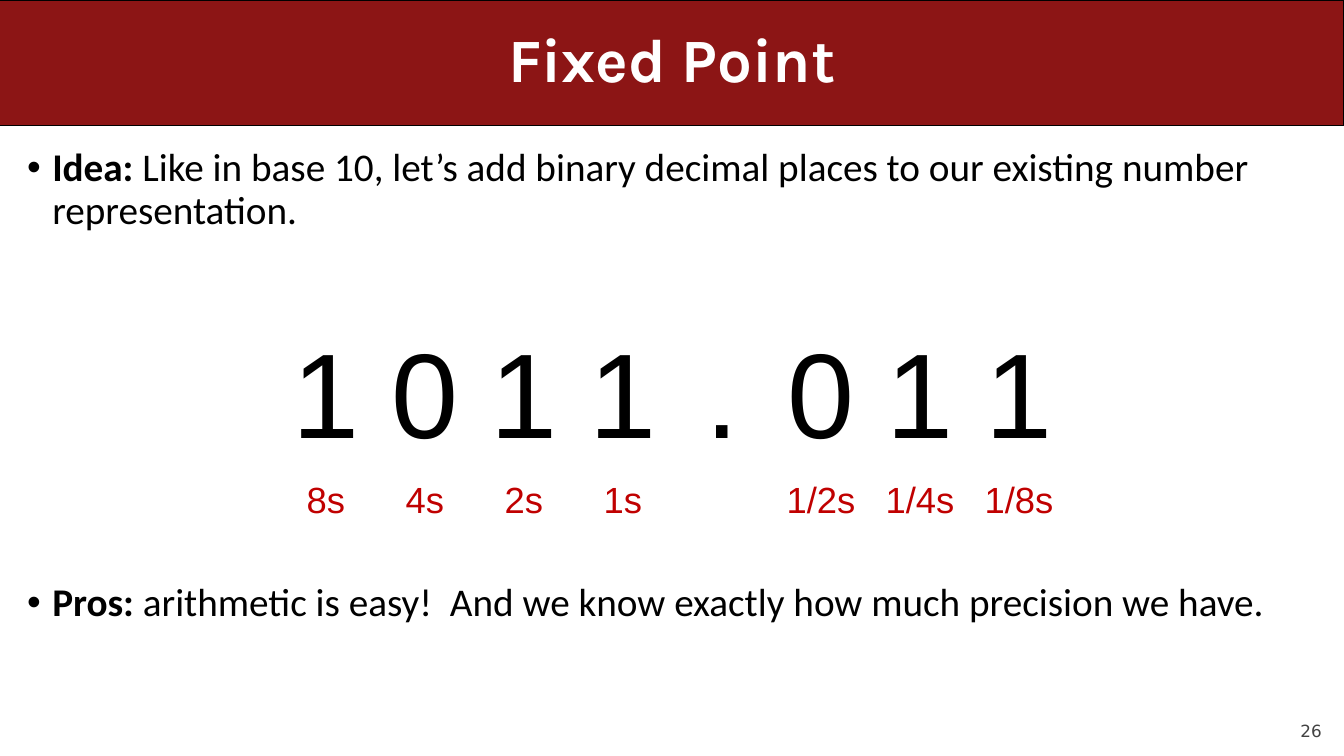
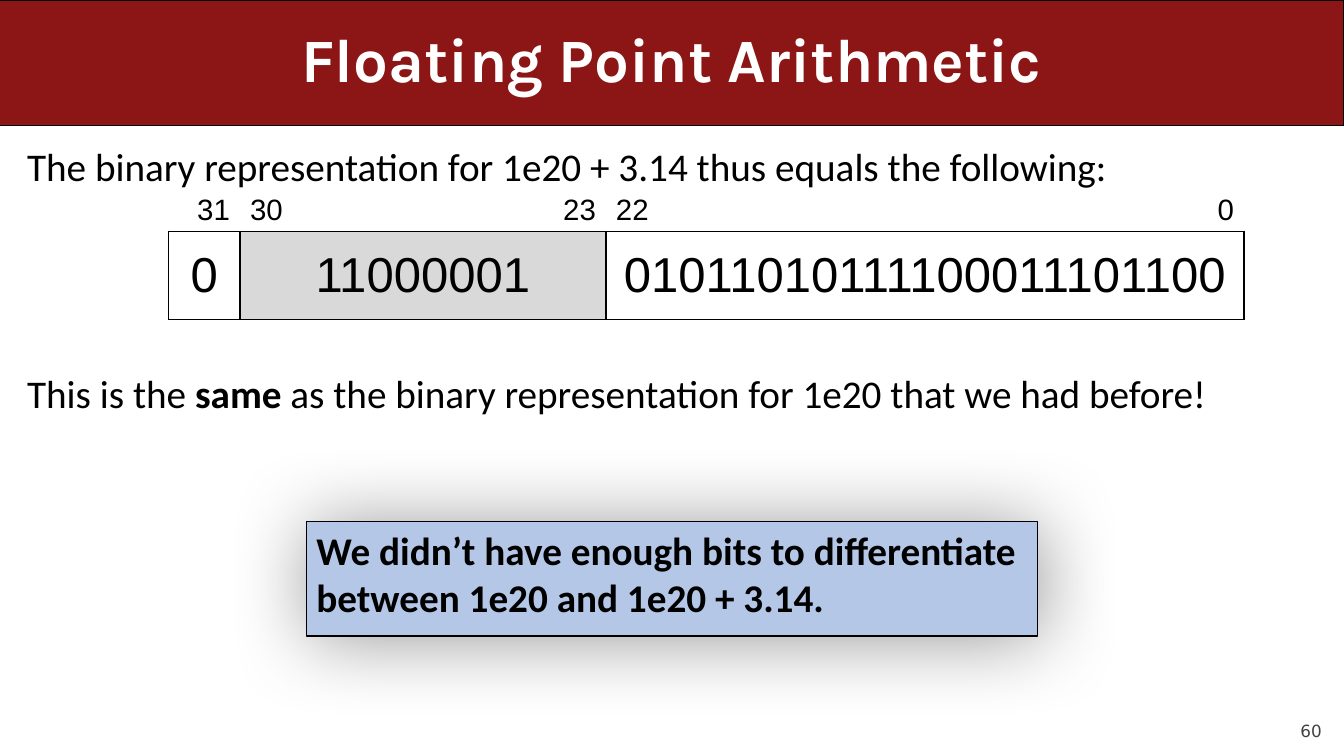
from lxml import etree
from pptx import Presentation
from pptx.dml.color import RGBColor
from pptx.enum import shapes, text
from pptx.oxml import ns
from pptx.util import Inches, Pt

CARDINAL = RGBColor(0x8C, 0x15, 0x15)
RED = RGBColor(0xC0, 0x00, 0x00)
BLACK = RGBColor(0x00, 0x00, 0x00)
WHITE = RGBColor(0xFF, 0xFF, 0xFF)
GRAY = RGBColor(0x42, 0x42, 0x42)
PALE_GRAY = RGBColor(0xD9, 0xD9, 0xD9)
PALE_BLUE = RGBColor(0xB4, 0xC7, 0xE7)

TITLE = dict(name="Karla", size=Pt(44), bold=True, color=WHITE)
BODY = dict(name="Calibri", size=Pt(28), color=BLACK)
PAGE = dict(name="DejaVu Sans", size=Pt(12), color=GRAY)
DIGIT = dict(name="Arial", size=Pt(86), color=BLACK)
WEIGHT = dict(DIGIT, size=Pt(26), color=RED)
BIT_INDEX = dict(DIGIT, size=Pt(21))
BITS = dict(DIGIT, size=Pt(35))

BODY_BOX = (0.17, 1.42, 12.92, 5.67)
NO_TABLE_STYLE = "{2D5ABB26-0587-4C30-8999-92F81FD0307C}"
LEFT, CENTER, RIGHT = text.PP_ALIGN.LEFT, text.PP_ALIGN.CENTER, text.PP_ALIGN.RIGHT
TOP, MIDDLE, BOTTOM = text.MSO_ANCHOR.TOP, text.MSO_ANCHOR.MIDDLE, text.MSO_ANCHOR.BOTTOM


def set_all(obj, fmt):
    for name, value in fmt.items():
        if name == "color":
            obj.color.rgb = value
        else:
            setattr(obj, name, value)


def add_xml(parent, tag, **attrs):
    return etree.SubElement(parent, ns.qn(tag), attrs)


def write(p, runs, font, **fmt):
    set_all(p, fmt)
    for words, bold in runs:
        r = p.add_run()
        r.text = words
        set_all(r.font, dict(font, bold=bold))


def add_box(s, box, fill=None):
    lengths = [Inches(v) for v in box]
    if fill is None:
        sp = s.shapes.add_textbox(*lengths)
    else:
        sp = s.shapes.add_shape(shapes.MSO_SHAPE.RECTANGLE, *lengths)
        sp.shadow.inherit = False
        sp.fill.solid()
        sp.fill.fore_color.rgb = fill
        set_all(sp.line, dict(color=BLACK, width=Pt(0.75)))
    sp.text_frame.word_wrap = True
    return sp


def add_page(prs, title, number):
    s = prs.slides.add_slide(prs.slide_layouts[6])
    band = add_box(s, (0, 0, 13.33, 1.25), CARDINAL)
    band.text_frame.vertical_anchor = MIDDLE
    write(band.text_frame.paragraphs[0], [(title, True)], TITLE,
          alignment=CENTER, line_spacing=0.9)
    tf = add_box(s, (12, 6.95, 1.11, 0.4)).text_frame
    set_all(tf, dict(margin_left=0, margin_top=0, margin_right=0,
                     margin_bottom=0, vertical_anchor=BOTTOM))
    write(tf.paragraphs[0], [(number, False)], PAGE, alignment=RIGHT)
    return s


def add_body(s, box, paragraphs, gap, bulleted=False):
    tf = add_box(s, box).text_frame
    for i, runs in enumerate(paragraphs):
        p = tf.add_paragraph() if i else tf.paragraphs[0]
        if bulleted:
            pPr = p._p.get_or_add_pPr()
            pPr.set("marL", str(Inches(0.25)))
            pPr.set("indent", str(-Inches(0.25)))
            add_xml(pPr, "a:buFont", typeface="Arial")
            add_xml(pPr, "a:buChar", char="•")
        write(p, runs, BODY, line_spacing=0.9, space_before=Pt(gap if i else 0))


def add_grid(s, box, widths, heights):
    frame = s.shapes.add_table(len(heights), len(widths), *[Inches(v) for v in box])
    table = frame.table
    set_all(table, dict(first_row=False, horz_banding=False))
    table._tbl.tblPr.find(ns.qn("a:tableStyleId")).text = NO_TABLE_STYLE
    for column, width in zip(table.columns, widths):
        column.width = Inches(width)
    for row, height in zip(table.rows, heights):
        row.height = Inches(height)
    for cell in table.iter_cells():
        cell.fill.background()
    return table


def fill_cell(cell, words, font, align=CENTER, anchor=MIDDLE):
    cell.vertical_anchor = anchor
    write(cell.text_frame.paragraphs[0], [(words, False)], font, alignment=align)


def add_borders(cell, sides):
    tcPr = cell._tc.get_or_add_tcPr()
    for i, side in enumerate(sides):
        ln = etree.Element(ns.qn("a:ln" + side), w=str(Pt(1)))
        add_xml(add_xml(ln, "a:solidFill"), "a:srgbClr", val=str(BLACK))
        tcPr.insert(i, ln)


def add_place_values(s, box):
    digits = "1011.011"
    weights = ["8s", "4s", "2s", "1s", "", "1/2s", "1/4s", "1/8s"]
    table = add_grid(s, box, [box[2] / len(digits)] * len(digits), [1.47, 0.52])
    for col, (digit, weight) in enumerate(zip(digits, weights)):
        fill_cell(table.cell(0, col), digit, DIGIT)
        if weight:
            fill_cell(table.cell(1, col), weight, WEIGHT)


def add_float_layout(s, box):
    sign, exponent = 0.71, 1.21
    fraction = (box[2] - sign - 3 * exponent) / 6
    table = add_grid(s, box, [sign] + [exponent] * 3 + [fraction] * 6, [box[3] / 2] * 2)
    indexes = [(0, "31", RIGHT), (1, "30", LEFT), (3, "23", RIGHT),
               (4, "22", LEFT), (9, "0", RIGHT)]
    for col, index, align in indexes:
        fill_cell(table.cell(0, col), index, BIT_INDEX, align, BOTTOM)
    fields = [(0, 0, "0"), (1, 3, "11000001"), (4, 9, "01011010111100011101100")]
    for first, last, bits in fields:
        cell = table.cell(1, first)
        if last > first:
            cell.merge(table.cell(1, last))
        fill_cell(cell, bits, BITS)
    exponent_cell = table.cell(1, 1)
    exponent_cell.fill.solid()
    exponent_cell.fill.fore_color.rgb = PALE_GRAY
    for col in range(len(table.columns)):
        add_borders(table.cell(0, col), "B")
        add_borders(table.cell(1, col), "LRTB")


def add_callout(s, box, words):
    sp = add_box(s, box, PALE_BLUE)
    effects = sp._element.spPr.find(ns.qn("a:effectLst"))
    shadow = add_xml(effects, "a:outerShdw", blurRad=str(Pt(58)), dist=str(Pt(3)),
                     dir="2700000", algn="tl", rotWithShape="0")
    add_xml(add_xml(shadow, "a:srgbClr", val=str(BLACK)), "a:alpha", val="40000")
    sp.text_frame.vertical_anchor = TOP
    write(sp.text_frame.paragraphs[0], [(words, True)], BODY, alignment=LEFT)


def build_fixed_point(prs):
    s = add_page(prs, "Fixed Point", "26")
    add_body(s, BODY_BOX, [
        [("Idea:", True), (" Like in base 10, let’s add binary decimal places to our "
                           "existing number representation.", False)],
        [("Pros: ", True), ("arithmetic is easy!  And we know exactly how much "
                            "precision we have.", False)],
    ], gap=250, bulleted=True)
    add_place_values(s, (2.74, 3.17, 7.86, 1.99))


def build_floating_point(prs):
    s = add_page(prs, "Floating Point Arithmetic", "60")
    add_body(s, BODY_BOX, [
        [("The binary representation for 1e20 + 3.14 thus equals the following:", False)],
        [("This is the ", False), ("same", True),
         (" as the binary representation for 1e20 that we had before!", False)],
    ], gap=131.5)
    add_float_layout(s, (1.67, 1.42, 10.67, 1.75))
    add_callout(s, (3.04, 5.17, 7.25, 1.14),
                "We didn’t have enough bits to differentiate between 1e20 and 1e20 + 3.14.")


def main():
    prs = Presentation()
    set_all(prs, dict(slide_width=Inches(13.33), slide_height=Inches(7.5)))
    build_fixed_point(prs)
    build_floating_point(prs)
    prs.save("out.pptx")


if __name__ == "__main__":
    main()
